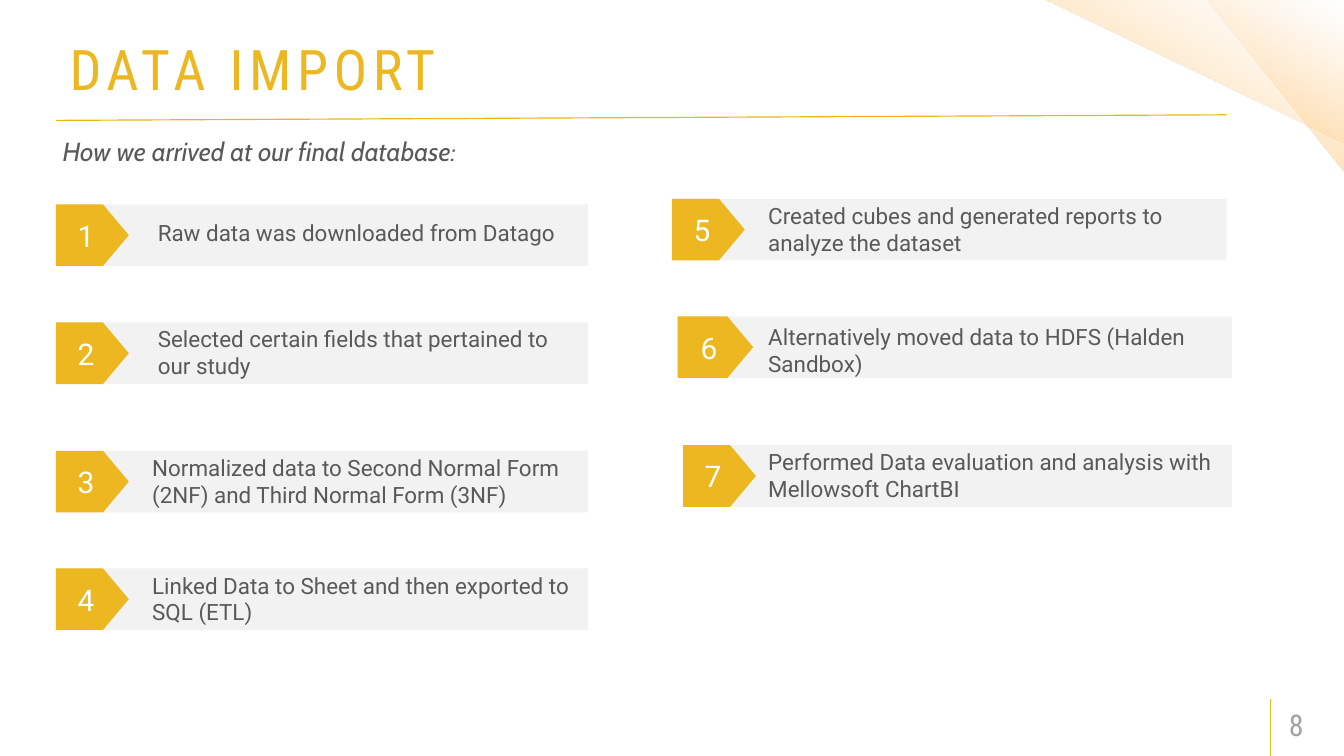
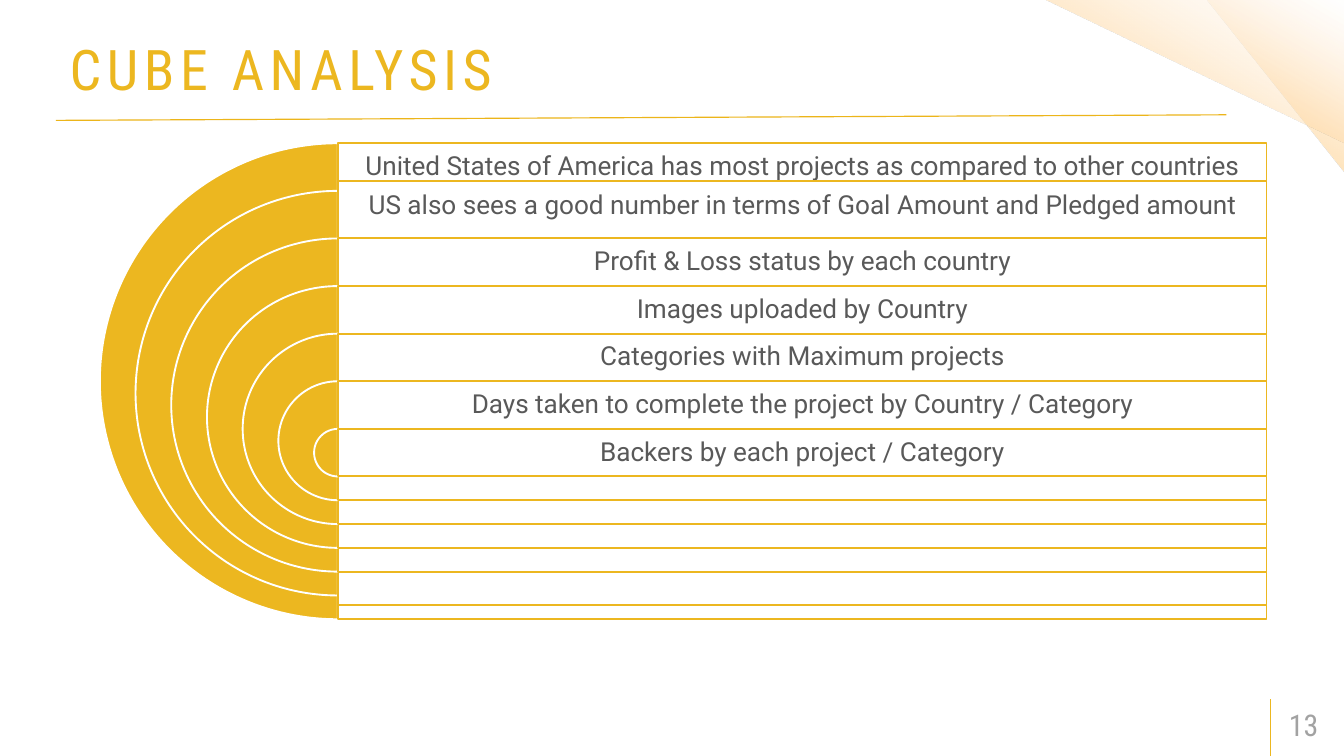
from lxml import etree
from pptx import Presentation
from pptx.dml.color import RGBColor
from pptx.enum import shapes, text
from pptx.oxml.ns import qn
from pptx.util import Pt

GOLD = RGBColor(0xEC, 0xB7, 0x20)
RULE = RGBColor(0xEC, 0xB5, 0x1A)
WHITE = RGBColor(0xFF, 0xFF, 0xFF)
BAND = RGBColor(0xF2, 0xF2, 0xF2)
BODY = RGBColor(0x59, 0x59, 0x59)
PAGE = RGBColor(0xA2, 0xA2, 0xA2)
GLOW = [(0, "FFD694", 100), (50, "FFD79F", 44), (100, "FFF1DF", 0)]

SHAPE = shapes.MSO_SHAPE
MIDDLE = text.MSO_ANCHOR.MIDDLE
CENTER = text.PP_ALIGN.CENTER


def add_block(parent, kind, box, fill, line=None):
    sp = parent.shapes.add_shape(kind, *[Pt(v) for v in box])
    sp.shadow.inherit = False
    sp.fill.solid()
    sp.fill.fore_color.rgb = fill
    if line is None:
        sp.line.fill.background()
    else:
        sp.line.color.rgb = line
        sp.line.width = Pt(2)
    return sp


def add_words(parent, box, words, font, size, color, sp=None):
    sp = sp or parent.shapes.add_textbox(*[Pt(v) for v in box])
    tf = sp.text_frame
    tf.word_wrap = True
    tf.text = words
    r = tf.paragraphs[0].runs[0]
    r.font.name = font
    r.font.size = Pt(size)
    r.font.color.rgb = color
    return tf


prs = Presentation()
prs.slide_width = Pt(1440)
prs.slide_height = Pt(810)

pages = []
for title, number in [("DATA IMPORT", "8"), ("CUBE ANALYSIS", "13")]:
    s = prs.slides.add_slide(prs.slide_layouts[6])
    pages.append(s)

    for box in [(1293, 0, 147, 185), (1119, 0, 322.5, 153.5)]:
        sp = add_block(s, SHAPE.RIGHT_TRIANGLE, box, WHITE)
        sp.rotation = 180
        solid = sp._element.spPr.find(qn("a:solidFill"))
        grad = etree.Element(qn("a:gradFill"), rotWithShape="1")
        stops = etree.SubElement(grad, qn("a:gsLst"))
        for pos, color, alpha in GLOW:
            gs = etree.SubElement(stops, qn("a:gs"), pos=str(pos * 1000))
            clr = etree.SubElement(gs, qn("a:srgbClr"), val=color)
            etree.SubElement(clr, qn("a:alpha"), val=str(alpha * 1000))
        etree.SubElement(grad, qn("a:lin"), ang="7200000", scaled="0")
        solid.getparent().replace(solid, grad)

    for ends, color, width in [((1361.5, 810, 1361.5, 749), GOLD, 1),
                               ((60, 129, 1314, 123), RULE, 1.25)]:
        line = s.shapes.add_connector(shapes.MSO_CONNECTOR.STRAIGHT, *[Pt(v) for v in ends])
        line.line.color.rgb = color
        line.line.width = Pt(width)
        etree.SubElement(line._element.spPr, qn("a:effectLst"))

    tf = add_words(s, (1368, 755, 71, 43), number, "Roboto Condensed", 32, PAGE)
    tf.vertical_anchor = MIDDLE
    tf.margin_left = tf.margin_right = Pt(13)
    tf.margin_top = tf.margin_bottom = Pt(6.5)

    tf = add_words(s, (67.5, 33, 1307.5, 80), title, "Roboto Condensed", 60, GOLD)
    tf.paragraphs[0].runs[0].font._element.set("spc", "600")

data_import, cube_analysis = pages

s = data_import
tf = add_words(s, (60, 141, 1266, 78), "How we arrived at our final database:", "Cabin", 28, BODY)
p = tf.paragraphs[0]
p.alignment = text.PP_ALIGN.JUSTIFY
p.space_before = Pt(5.6)
p.runs[0].font.italic = True

steps = [
    ((60, 219, 570), 78, (162, 231, 498, 36), "Raw data was downloaded from Datago"),
    ((60, 345.5, 570), 78, (162, 345, 468, 65.5),
     "Selected certain fields that pertained to our study"),
    ((60, 483, 570), 78, (156, 483, 486, 65.5),
     "Normalized data to Second Normal Form (2NF) and Third Normal Form (3NF)"),
    ((60, 609, 570), 78, (156, 609, 480, 65.5),
     "Linked Data to Sheet and then exported to SQL (ETL)"),
    ((720, 213, 594), 78, (816, 213, 462, 65.5),
     "Created cubes and generated reports to analyze the dataset"),
    ((726, 339, 594), 81, (816, 343, 504, 65.5),
     "Alternatively moved data to HDFS (Halden Sandbox)"),
    ((732, 477, 588), 78, (816, 477, 504, 65.5),
     "Performed Data evaluation and analysis with Mellowsoft ChartBI"),
]
for i, ((x, y, w), tag_w, words_box, words) in enumerate(steps, 1):
    add_block(s, SHAPE.RECTANGLE, (x, y, w, 66), BAND)
    tag = add_block(s, SHAPE.PENTAGON, (x, y, tag_w, 66), GOLD)
    tag.adjustments[0] = 0.42
    tf = add_words(s, None, str(i), "Roboto", 32, WHITE, tag)
    tf.vertical_anchor = MIDDLE
    tf.paragraphs[0].alignment = CENTER
    tf = add_words(s, words_box, words, "Roboto", 24, BODY)
    tf.auto_size = text.MSO_AUTO_SIZE.SHAPE_TO_FIT_TEXT
    if i == 1:
        tf.vertical_anchor = MIDDLE

findings = [
    "United States of America has most projects as compared to other countries",
    "US also sees a good number in terms of Goal Amount and Pledged amount",
    "Profit & Loss status by each country",
    "Images uploaded by Country",
    "Categories with Maximum projects",
    "Days taken to complete the project by Country / Category",
    "Backers by each project / Category",
]
AXIS, TOP, ROW, PANEL_W = 362, 153.5, 51, 995
group = cube_analysis.shapes.add_group_shape()
for i, words in enumerate(findings):
    y = TOP + ROW * i
    size = ROW * (1 + 1.5 * (len(findings) - 1 - i))
    pie = add_block(group, SHAPE.PIE, (AXIS - size / 2, y, size, size), GOLD, WHITE)
    pie.adjustments[0] = 54
    pie.adjustments[1] = 162

    panel_y, panel_h, row_h = (193.5, 454.5, 53.5) if i == 1 else (y, size, ROW)
    panel = add_block(group, SHAPE.RECTANGLE, (AXIS, panel_y, PANEL_W, panel_h), WHITE, GOLD)
    clr = panel._element.spPr.find(qn("a:solidFill"))[0]
    etree.SubElement(clr, qn("a:alpha"), val="90000")

    tf = add_words(group, (AXIS, panel_y, PANEL_W, row_h), words, "Roboto", 28, BODY)
    tf.vertical_anchor = MIDDLE
    tf.margin_left = tf.margin_right = tf.margin_top = tf.margin_bottom = Pt(8.5)
    p = tf.paragraphs[0]
    p.alignment = CENTER
    p.line_spacing = 0.9
    p.space_after = Pt(10)

prs.save("out.pptx")
